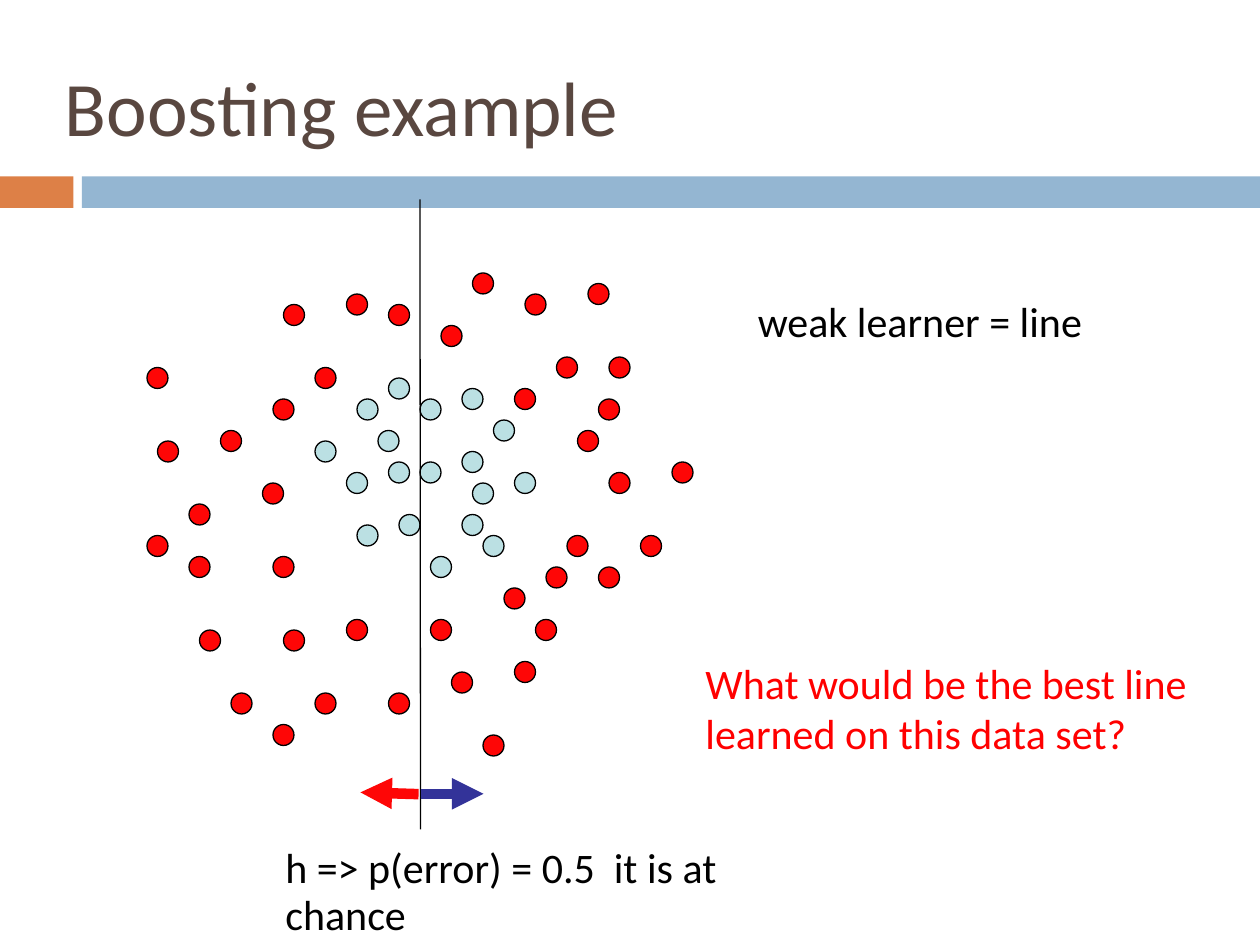
from pptx import Presentation
from pptx import util as u
from pptx.dml.color import RGBColor
from pptx.enum import shapes, text
from pptx.oxml import ns, xmlchemy

Pt = u.Pt
BROWN = RGBColor(0x59, 0x47, 0x40)
ORANGE = RGBColor(0xDD, 0x80, 0x47)
SKY = RGBColor(0x94, 0xB6, 0xD2)
PALE = RGBColor(0xBB, 0xE0, 0xE3)
RED = RGBColor(0xFE, 0x06, 0x06)
QUESTION_RED = RGBColor(0xFF, 0, 0)
NAVY = RGBColor(0x33, 0x33, 0x99)
BLACK = RGBColor(0, 0, 0)

GRID = 6
DOT = 12
BANDS = [(0, 42, ORANGE), (46.8, 673.2, SKY)]
INNER_DOTS = [
    (40, 38), (44, 37), (47, 40), (37, 44), (44, 49), (49, 45),
    (34, 50), (40, 44), (44, 43), (45, 46), (38, 49), (33, 45),
    (34, 38), (41, 53), (36, 41), (46, 51), (30, 42), (37, 36),
]
OUTER_DOTS = [
    (58, 45), (57, 38), (54, 51), (57, 54), (64, 44), (61, 51), (15, 42),
    (14, 35), (14, 51), (21, 41), (18, 48), (27, 60), (26, 53), (26, 69),
    (33, 59), (30, 66), (43, 64), (41, 59), (37, 66), (49, 63), (46, 70),
    (27, 29), (37, 29), (26, 38), (33, 28), (30, 35), (50, 28), (42, 31),
    (49, 37), (56, 27), (53, 34), (19, 60), (18, 53), (25, 46), (22, 66),
    (45, 26), (58, 34), (55, 41), (48, 56), (51, 59), (52, 54),
]
SPLIT_LINE = (240, 114, 240.3, 474)
ARROWS = [((239.2, 453.8, 206, 452.8), RED), ((240.3, 453.6, 276.3, 453.6), NAVY)]


def add_text(page, content, frame, size=24, color=BLACK, spacing=None,
             anchor=text.MSO_ANCHOR.TOP, wrap=True):
    box = page.shapes.add_textbox(*map(Pt, frame))
    body = box.text_frame
    body.word_wrap = wrap
    body.vertical_anchor = anchor
    para = body.paragraphs[0]
    if spacing:
        para.line_spacing = spacing
    span = para.add_run()
    span.text = content
    span.font.name = "Calibri"
    span.font.size = Pt(size)
    span.font.color.rgb = color


def add_filled(page, kind, frame, fill, outline=None):
    shape = page.shapes.add_shape(kind, *map(Pt, frame))
    shape.shadow.inherit = False
    shape.fill.solid()
    shape.fill.fore_color.rgb = fill
    if outline is None:
        shape.line.fill.background()
    else:
        shape.line.color.rgb = outline
        shape.line.width = Pt(0.75)


def add_line(page, ends, color, width, arrow=False):
    line = page.shapes.add_connector(shapes.MSO_CONNECTOR.STRAIGHT, *map(Pt, ends))
    line.line.color.rgb = color
    line.line.width = Pt(width)
    if arrow:
        head = xmlchemy.OxmlElement("a:tailEnd")
        head.set("type", "triangle")
        line.line._get_or_add_ln().append(head)
    properties = line._element.find(ns.qn("p:spPr"))
    properties.append(xmlchemy.OxmlElement("a:effectLst"))


def main():
    deck = Presentation()
    deck.slide_width, deck.slide_height = Pt(720), Pt(540)
    page = deck.slides.add_slide(deck.slide_layouts[6])

    for left, width, color in BANDS:
        add_filled(page, shapes.MSO_SHAPE.RECTANGLE, (left, 100.8, width, 18), color)
    add_text(page, "Boosting example", (30, 18, 648, 90), size=44, color=BROWN,
             spacing=0.93, anchor=text.MSO_ANCHOR.MIDDLE)

    for dots, color in ((INNER_DOTS, PALE), (OUTER_DOTS, RED)):
        for column, row in dots:
            frame = (column * GRID, row * GRID, DOT, DOT)
            add_filled(page, shapes.MSO_SHAPE.OVAL, frame, color, outline=BLACK)

    add_line(page, SPLIT_LINE, BLACK, 0.75)
    add_text(page, "h => p(error) = 0.5  it is at chance", (156, 480, 280.8, 28.8),
             spacing=0.93)
    for ends, color in ARROWS:
        add_line(page, ends, color, 6, arrow=True)
    add_text(page, "weak learner = line", (426, 165.6, 206.6, 36), wrap=False)
    add_text(page, "What would be the best line learned on this data set?",
             (396, 372, 300, 65.5), color=QUESTION_RED)

    deck.save("out.pptx")


if __name__ == "__main__":
    main()
